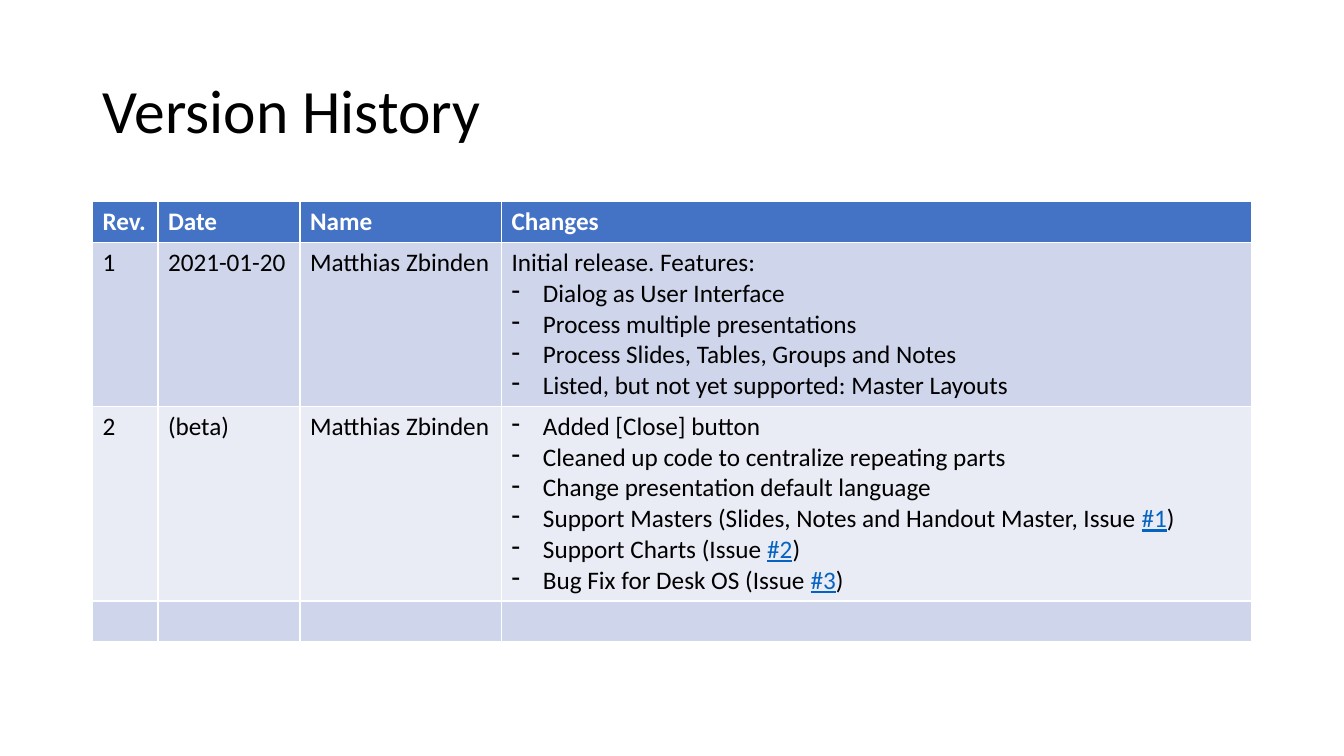
from lxml.etree import SubElement
from pptx import Presentation
from pptx.dml.color import RGBColor
from pptx.enum.text import MSO_ANCHOR, PP_ALIGN
from pptx.oxml.ns import qn
from pptx.util import Cm, Pt

BLACK = RGBColor(0x00, 0x00, 0x00)
WHITE = RGBColor(0xFF, 0xFF, 0xFF)
HEADER_BLUE = RGBColor(0x44, 0x72, 0xC4)
BAND_DARK = RGBColor(0xCF, 0xD5, 0xEA)
BAND_LIGHT = RGBColor(0xE9, 0xEB, 0xF5)
ISSUE_BLUE = RGBColor(0x05, 0x63, 0xC1)

TITLE_FORMAT = {"name": "Calibri", "size": Pt(44), "color": BLACK}
BODY_FORMAT = {"name": "Calibri", "size": Pt(18), "bold": False, "color": BLACK}
HEADER_FORMAT = {**BODY_FORMAT, "bold": True, "color": WHITE}
ISSUE_FORMAT = {**BODY_FORMAT, "underline": True, "color": ISSUE_BLUE}

COLUMN_WIDTHS = [1.65, 3.58, 5.08, 18.9]
HEADINGS = ["Rev.", "Date", "Name", "Changes"]
REVISIONS = [
    (["1", "2021-01-20", "Matthias Zbinden"], "Initial release. Features:", [
        ["Dialog as User Interface"],
        ["Process multiple presentations"],
        ["Process Slides, Tables, Groups and Notes"],
        ["Listed, but not yet supported: Master Layouts"],
    ]),
    (["2", "(beta)", "Matthias Zbinden"], "", [
        ["Added [Close] button"],
        ["Cleaned up code to centralize repeating parts"],
        ["Change presentation default language"],
        ["Support Masters (Slides, Notes and Handout Master, Issue ", "#1", ")"],
        ["Support Charts (Issue ", "#2", ")"],
        ["Bug Fix for Desk OS (Issue ", "#3", ")"],
    ]),
    (["", "", ""], "", []),
]


def apply_format(font, values):
    for key, value in values.items():
        if key == "color":
            font.color.rgb = value
        else:
            setattr(font, key, value)


def write_line(paragraph, pieces, values):
    apply_format(paragraph.font, values)
    for piece in pieces:
        run = paragraph.add_run()
        run.text = piece
        apply_format(run.font, ISSUE_FORMAT if piece.startswith("#") else values)


def add_dash(paragraph):
    properties = paragraph._p.get_or_add_pPr()
    properties.set("marL", str(Cm(0.79)))
    properties.set("indent", str(-Cm(0.79)))
    dash = SubElement(properties, qn("a:buChar"))
    dash.set("char", "-")
    properties.insert(0, dash)


def fill_cell(cell, color, lines, values, dashes_from=1):
    cell.fill.solid()
    cell.fill.fore_color.rgb = color
    for index, pieces in enumerate(lines):
        frame = cell.text_frame
        paragraph = frame.add_paragraph() if index else frame.paragraphs[0]
        write_line(paragraph, pieces, values)
        if index >= dashes_from:
            add_dash(paragraph)


def place_title(slide, left, top, width, height):
    heading = slide.shapes.title
    box = {"left": left, "top": top, "width": width, "height": height}
    for key, value in box.items():
        setattr(heading, key, Cm(value))
    heading.text_frame.vertical_anchor = MSO_ANCHOR.MIDDLE
    paragraph = heading.text_frame.paragraphs[0]
    paragraph.alignment = PP_ALIGN.LEFT
    paragraph.line_spacing = 0.9
    write_line(paragraph, ["Version History"], TITLE_FORMAT)


def place_history(slide, left, top, width):
    line_counts = [1] + [max(1, len(changes) + bool(intro)) for _, intro, changes in REVISIONS]
    heights = [0.27 + 0.76 * count for count in line_counts]
    history = slide.shapes.add_table(
        len(heights), len(HEADINGS), Cm(left), Cm(top), Cm(width), Cm(sum(heights))
    ).table
    for column, share in zip(history.columns, COLUMN_WIDTHS):
        column.width = Cm(width * share / sum(COLUMN_WIDTHS))
    for row, height in zip(history.rows, heights):
        row.height = Cm(height)
    for index, heading in enumerate(HEADINGS):
        fill_cell(history.cell(0, index), HEADER_BLUE, [[heading]], HEADER_FORMAT)
    for number, (details, intro, changes) in enumerate(REVISIONS, 1):
        band = BAND_DARK if number % 2 else BAND_LIGHT
        for index, detail in enumerate(details):
            fill_cell(history.cell(number, index), band, [[detail]] if detail else [[]], BODY_FORMAT)
        lines = ([[intro]] if intro else []) + changes
        fill_cell(history.cell(number, 3), band, lines, BODY_FORMAT, 1 if intro else 0)


def main():
    presentation = Presentation()
    presentation.slide_width = Cm(33.87)
    presentation.slide_height = Cm(19.05)
    slide = presentation.slides.add_slide(presentation.slide_layouts[5])
    place_title(slide, 2.33, 1.01, 29.21, 3.68)
    place_history(slide, 2.33, 5.08, 29.21)
    presentation.save("out.pptx")


if __name__ == "__main__":
    main()
